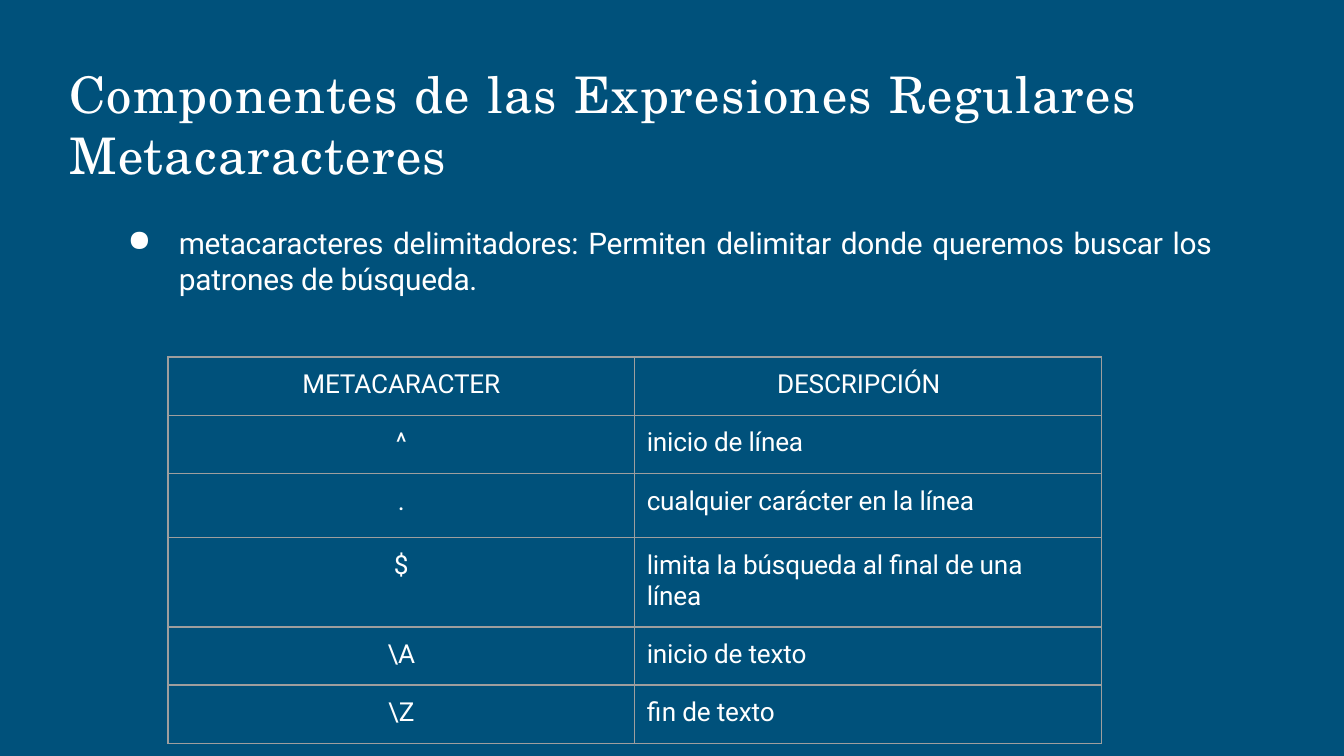
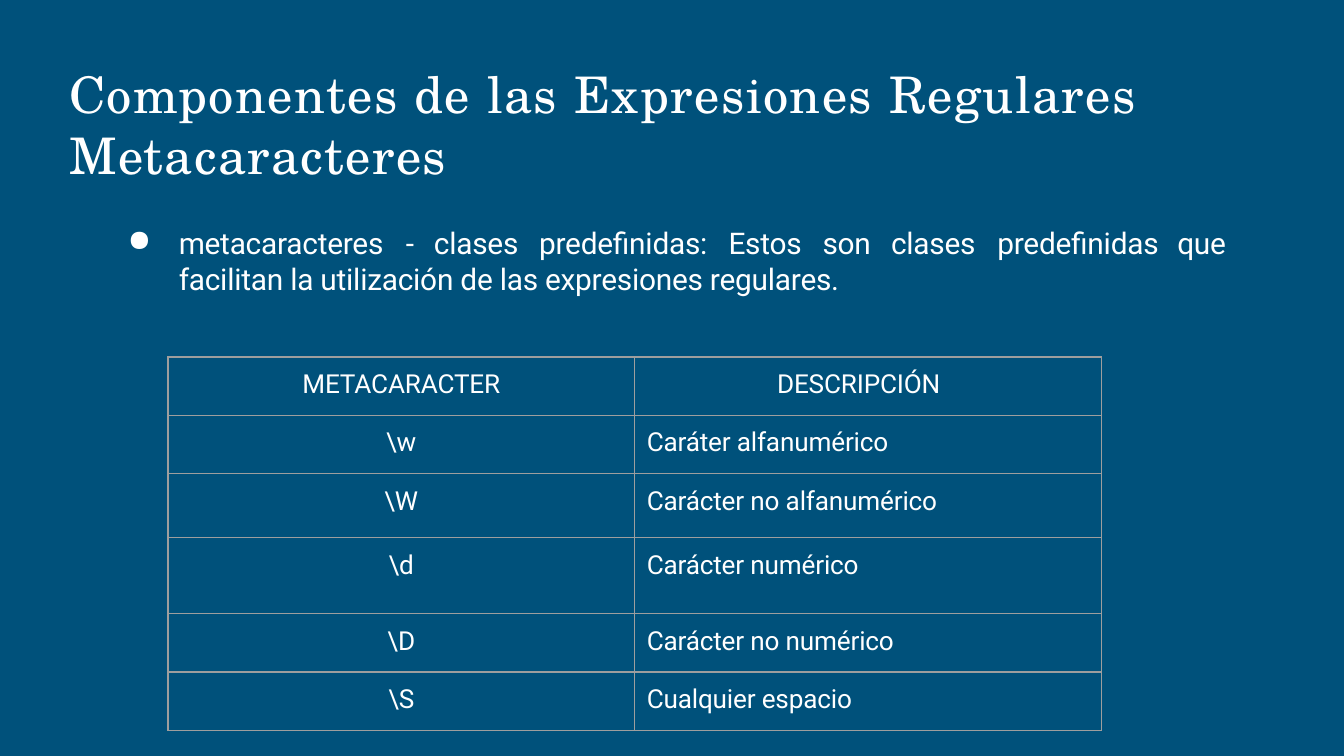
from lxml import etree
from pptx import Presentation
from pptx.dml.color import RGBColor
from pptx.enum import text as t
from pptx.oxml import ns
from pptx.util import Pt

NAVY, WHITE, GREY = "00517B", "FFFFFF", "9E9E9E"
SERIF, SANS = "TeX Gyre Schola", "Roboto"
TITLE = "Componentes de las Expresiones Regulares Metacaracteres"
HEAD = ("METACARACTER", "DESCRIPCIÓN")
TITLE_BOX = (36, 33, 647, 67.7)
NOTE_BOX = (67, 119.5, 592.5, 40.3)
GRID_BOX = (90, 191.3, 500, 208)

SLIDES = [
    dict(
        note="metacaracteres delimitadores: Permiten delimitar donde queremos "
             "buscar los patrones de búsqueda.",
        tabs=[], inset=10, tall=47.8,
        rows=[("^", "inicio de línea"),
              (".", "cualquier carácter en la línea"),
              ("$", "limita la búsqueda al final de una línea"),
              ("\\A", "inicio de texto"),
              ("\\Z", "fin de texto")]),
    dict(
        note="metacaracteres\t-\tclases\tpredeﬁnidas:\tEstos\tson\tclases\t"
             "predeﬁnidas\tque facilitan la utilización de las expresiones regulares.",
        tabs=[150.5, 165.5, 221.8, 323.3, 373.7, 410.4, 467.3, 563.8], inset=0, tall=40.8,
        rows=[("\\w", "Caráter alfanumérico"),
              ("\\W", "Carácter no alfanumérico"),
              ("\\d", "Carácter numérico"),
              ("\\D", "Carácter no numérico"),
              ("\\S", "Cualquier espacio")]),
]


def color(code):
    return RGBColor.from_string(code)


def node(parent, tag, **attrs):
    item = etree.SubElement(parent, ns.qn("a:" + tag))
    for key, val in attrs.items():
        item.set(key, str(val))
    return item


def write(frame, words, font, size, track, align, before):
    par = frame.paragraphs[0]
    run = par.add_run()
    run.text = words
    run._r.get_or_add_rPr().set("spc", str(track))
    par.font.name, par.font.size = font, Pt(size)
    par.font.color.rgb = color(WHITE)
    par.alignment, par.space_before = align, Pt(before)
    return par._p.get_or_add_pPr()


def pad(frame, left, top, right):
    frame.margin_left, frame.margin_top = Pt(left), Pt(top)
    frame.margin_right, frame.margin_bottom = Pt(right), 0


def setup(frame, right=0):
    pad(frame, 0, 1, right)
    frame.word_wrap = True
    frame.auto_size = t.MSO_AUTO_SIZE.SHAPE_TO_FIT_TEXT
    frame.vertical_anchor = t.MSO_ANCHOR.TOP


def add_title(slide, box):
    title = slide.shapes.title
    title.left, title.top, title.width, title.height = map(Pt, box)
    setup(title.text_frame)
    props = write(title.text_frame, TITLE, SERIF, 27, 80, t.PP_ALIGN.LEFT, 1)
    props.set("marL", str(Pt(1)))


def add_note(slide, box, words, tabs, inset):
    frame = slide.shapes.add_textbox(*map(Pt, box)).text_frame
    setup(frame, inset)
    props = write(frame, words, SANS, 16, -10, t.PP_ALIGN.JUSTIFY, 1)
    props.set("marL", str(Pt(28.8)))
    props.set("indent", str(Pt(-27.4)))
    node(props, "buChar", char="●")
    if tabs:
        stops = node(props, "tabLst")
        for pos in tabs:
            node(stops, "tab", pos=Pt(pos), algn="l")


def fill_cell(cell, words, align, left, right):
    props = cell._tc.get_or_add_tcPr()
    for side in ("lnL", "lnR", "lnT", "lnB"):
        line = node(props, side, w=Pt(0.75))
        node(node(line, "solidFill"), "srgbClr", val=GREY)
    cell.fill.solid()
    cell.fill.fore_color.rgb = color(NAVY)
    pad(cell, 0, 6.5, right)
    par = write(cell.text_frame, words, SANS, 14, -10, align, 6.2)
    par.set("marL", str(Pt(left)))


def add_grid(slide, box, rows, tall):
    rows = [HEAD] + rows
    grid = slide.shapes.add_table(len(rows), len(HEAD), *map(Pt, box)).table
    grid.first_row = grid.horz_banding = False
    for col in grid.columns:
        col.width = Pt(box[2] / len(HEAD))
    for row, high in zip(grid.rows, (31.2, 31.2, 34.4, tall, 31.2, 31.2)):
        row.height = Pt(high)
    for r, (sign, desc) in enumerate(rows):
        fill_cell(grid.cell(r, 0), sign, t.PP_ALIGN.CENTER, 0, 0)
        left, right = (6.5, 22) if r else (76.3, 0)
        fill_cell(grid.cell(r, 1), desc, t.PP_ALIGN.LEFT, left, right)


def main():
    prs = Presentation()
    prs.slide_width, prs.slide_height = Pt(720), Pt(405)
    back = prs.slide_master.background.fill
    back.solid()
    back.fore_color.rgb = color(NAVY)
    for data in SLIDES:
        slide = prs.slides.add_slide(prs.slide_layouts[5])
        add_title(slide, TITLE_BOX)
        add_note(slide, NOTE_BOX, data["note"], data["tabs"], data["inset"])
        add_grid(slide, GRID_BOX, data["rows"], data["tall"])
    prs.save("out.pptx")


if __name__ == "__main__":
    main()
